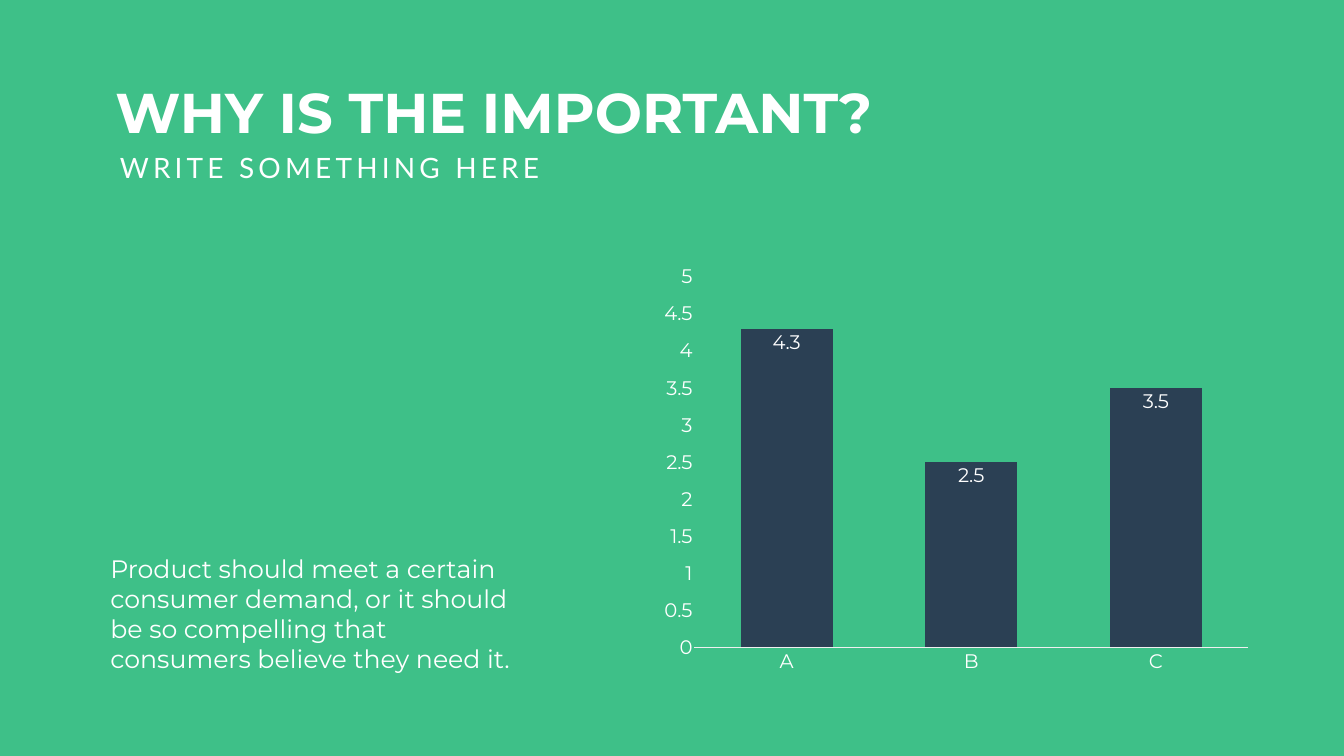
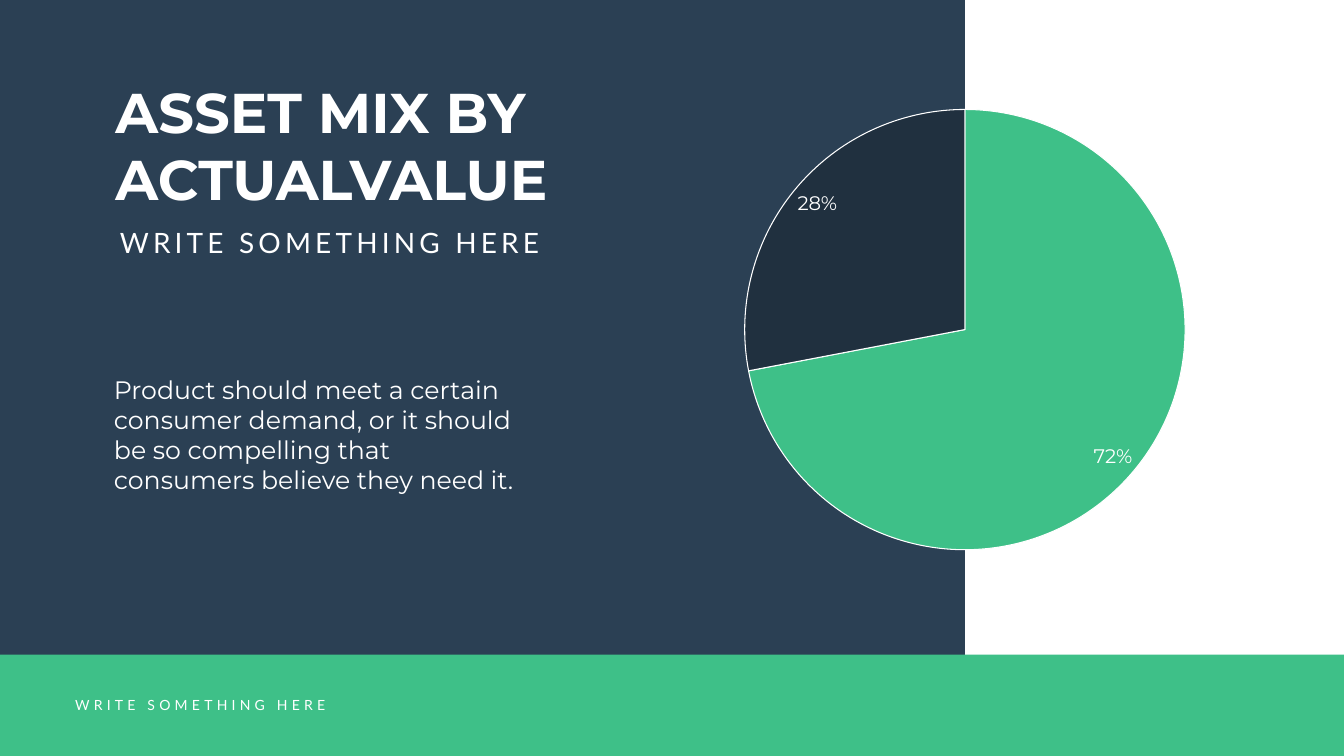
from lxml import etree
from pptx import Presentation
from pptx.chart.data import CategoryChartData
from pptx.dml.color import RGBColor
from pptx.enum.chart import XL_CHART_TYPE, XL_LABEL_POSITION, XL_TICK_MARK
from pptx.enum.shapes import MSO_SHAPE
from pptx.enum.text import MSO_ANCHOR, MSO_AUTO_SIZE, PP_ALIGN
from pptx.oxml.ns import qn
from pptx.util import Inches, Pt

RECTANGLE = MSO_SHAPE.RECTANGLE
COLUMN = XL_CHART_TYPE.COLUMN_CLUSTERED
PIE = XL_CHART_TYPE.PIE
INSIDE_END = XL_LABEL_POSITION.INSIDE_END
NO_TICK = XL_TICK_MARK.NONE
TOP = MSO_ANCHOR.TOP
NO_AUTOFIT = MSO_AUTO_SIZE.NONE
LEFT = PP_ALIGN.LEFT
TITLE_ONLY_LAYOUT = 5

WIDTH, HEIGHT = 26.66, 15
COLORS = {
    "green": "3EC088",
    "navy": "2B4054",
    "dark": "20303F",
    "white": "FFFFFF",
    "axis": "F0F0F0",
}
HEADING_FONT, CAPTION_FONT = "Montserrat", "Lato"
CAPTION = "WRITE SOMETHING HERE"
BODY = ("Product should meet a certain consumer demand, or it should be so "
        "compelling that consumers believe they need it.")


def color(name):
    return RGBColor.from_string(COLORS[name])


def set_plot_area(chart, x, y, width, height):
    """Place the inner plot area, as fractions of the chart frame."""
    plot_area = chart.plots[0]._element.getparent()
    for old_layout in plot_area.findall(qn("c:layout")):
        plot_area.remove(old_layout)
    layout = etree.Element(qn("c:layout"))
    manual = etree.SubElement(layout, qn("c:manualLayout"))
    values = {"layoutTarget": "inner", "xMode": "edge", "yMode": "edge",
              "x": x, "y": y, "w": width, "h": height}
    for tag, value in values.items():
        etree.SubElement(manual, qn(f"c:{tag}")).set("val", str(value))
    plot_area.insert(0, layout)


class Deck:
    """Holds the shared style and the slide being built."""

    def __init__(self):
        self.presentation = Presentation()
        self.presentation.slide_width = Inches(WIDTH)
        self.presentation.slide_height = Inches(HEIGHT)
        self.slide = None

    def new_slide(self):
        layout = self.presentation.slide_layouts[TITLE_ONLY_LAYOUT]
        self.slide = self.presentation.slides.add_slide(layout)

    def panel(self, left, top, width, height, fill):
        shape = self.slide.shapes.add_shape(
            RECTANGLE, Inches(left), Inches(top), Inches(width), Inches(height))
        shape.shadow.inherit = False
        shape.fill.solid()
        shape.fill.fore_color.rgb = color(fill)
        shape.line.fill.background()

    def set_text(self, shape, text, size, font, bold=False, spacing=0, inset=(0.1, 0.05)):
        frame = shape.text_frame
        frame.word_wrap = True
        frame.auto_size = NO_AUTOFIT
        frame.vertical_anchor = TOP
        frame.margin_left = frame.margin_right = Inches(inset[0])
        frame.margin_top = frame.margin_bottom = Inches(inset[1])
        paragraph = frame.paragraphs[0]
        paragraph.alignment = LEFT
        run = paragraph.add_run()
        run.text = text
        run.font.size = Pt(size)
        run.font.name = font
        run.font.bold = bold
        run.font.color.rgb = color("white")
        if spacing:
            run._r.get_or_add_rPr().set("spc", str(spacing * 100))

    def title(self, text, width, height):
        shape = self.slide.shapes.title
        shape.left, shape.top = Inches(2.19), Inches(1.48)
        shape.width, shape.height = Inches(width), Inches(height)
        self.slide.shapes._spTree.append(shape._element)  # above the panels
        self.set_text(shape, text, 80, HEADING_FONT, bold=True)

    def text_box(self, left, top, width, height):
        return self.slide.shapes.add_textbox(
            Inches(left), Inches(top), Inches(width), Inches(height))

    def caption(self, left, top, height, size):
        box = self.text_box(left, top, 9.39, height)
        self.set_text(box, CAPTION, size, CAPTION_FONT, spacing=6)

    def body(self, left, top, width):
        box = self.text_box(left, top, width, 2.66)
        self.set_text(box, BODY, 36, HEADING_FONT, inset=(0.24, 0.12))

    def footer(self):
        self.panel(0, 12.99, WIDTH, 2.01, "green")
        self.caption(1.39, 13.78, 0.44, 20)

    def style_font(self, font):
        font.size = Pt(28)
        font.name = HEADING_FONT
        font.color.rgb = color("white")

    def chart(self, kind, left, top, width, height, categories, values):
        data = CategoryChartData()
        data.categories = categories
        data.add_series("Series 1", values)
        chart = self.slide.shapes.add_chart(
            kind, Inches(left), Inches(top), Inches(width), Inches(height), data).chart
        chart.has_title = False
        chart.has_legend = False
        self.style_font(chart.font)
        plot = chart.plots[0]
        plot.has_data_labels = True
        labels = plot.data_labels
        labels.position = INSIDE_END
        self.style_font(labels.font)
        return chart

    def column_chart(self, left, top, width, height, categories, values):
        chart = self.chart(COLUMN, left, top, width, height, categories, values)
        set_plot_area(chart, 0.07, 0.05, 0.91, 0.87)
        plot = chart.plots[0]
        plot.vary_by_categories = False
        plot.gap_width = 100
        plot.overlap = -24
        plot.data_labels.show_value = True
        fill = plot.series[0].format.fill
        fill.solid()
        fill.fore_color.rgb = color("navy")
        for axis in (chart.category_axis, chart.value_axis):
            axis.has_major_gridlines = False
            axis.major_tick_mark = axis.minor_tick_mark = NO_TICK
            self.style_font(axis.tick_labels.font)
        chart.category_axis.format.line.color.rgb = color("axis")
        chart.category_axis.format.line.width = Pt(1)
        value_axis = chart.value_axis
        value_axis.minimum_scale, value_axis.maximum_scale = 0, 5
        value_axis.major_unit = 0.5
        value_axis.format.line.fill.background()

    def pie_chart(self, left, top, width, height, categories, values, fills):
        chart = self.chart(PIE, left, top, width, height, categories, values)
        set_plot_area(chart, 0.08, 0.02, 0.84, 0.97)
        plot = chart.plots[0]
        labels = plot.data_labels
        labels.show_value = False
        labels.show_percentage = True
        labels.number_format = "0%"
        labels.number_format_is_linked = False
        for index, fill in enumerate(fills):
            point = plot.series[0].points[index].format
            point.fill.solid()
            point.fill.fore_color.rgb = color(fill)
            point.line.color.rgb = color("white")
            point.line.width = Pt(1.5)


def build_importance_slide(deck):
    deck.new_slide()
    deck.panel(0, 0, WIDTH, HEIGHT, "green")
    deck.column_chart(12.93, 5.07, 12.07, 8.45, ["A", "B", "C"], [4.3, 2.5, 3.5])
    deck.title("WHY IS THE IMPORTANT?", 17.18, 1.45)
    deck.caption(2.28, 2.94, 0.77, 40)
    deck.body(1.95, 10.85, 8.53)


def build_asset_mix_slide(deck):
    deck.new_slide()
    deck.panel(0, 0, 19.14, HEIGHT, "navy")
    deck.title("ASSET MIX BY ACTUALVALUE", 10.81, 2.79)
    deck.caption(2.28, 4.43, 0.77, 40)
    deck.body(2.02, 7.3, 8.68)
    deck.footer()
    deck.pie_chart(13.94, 1.96, 10.4, 9.07, ["1", "2"], [72, 28], ["green", "dark"])


def main():
    deck = Deck()
    build_importance_slide(deck)
    build_asset_mix_slide(deck)
    deck.presentation.save("out.pptx")


if __name__ == "__main__":
    main()
